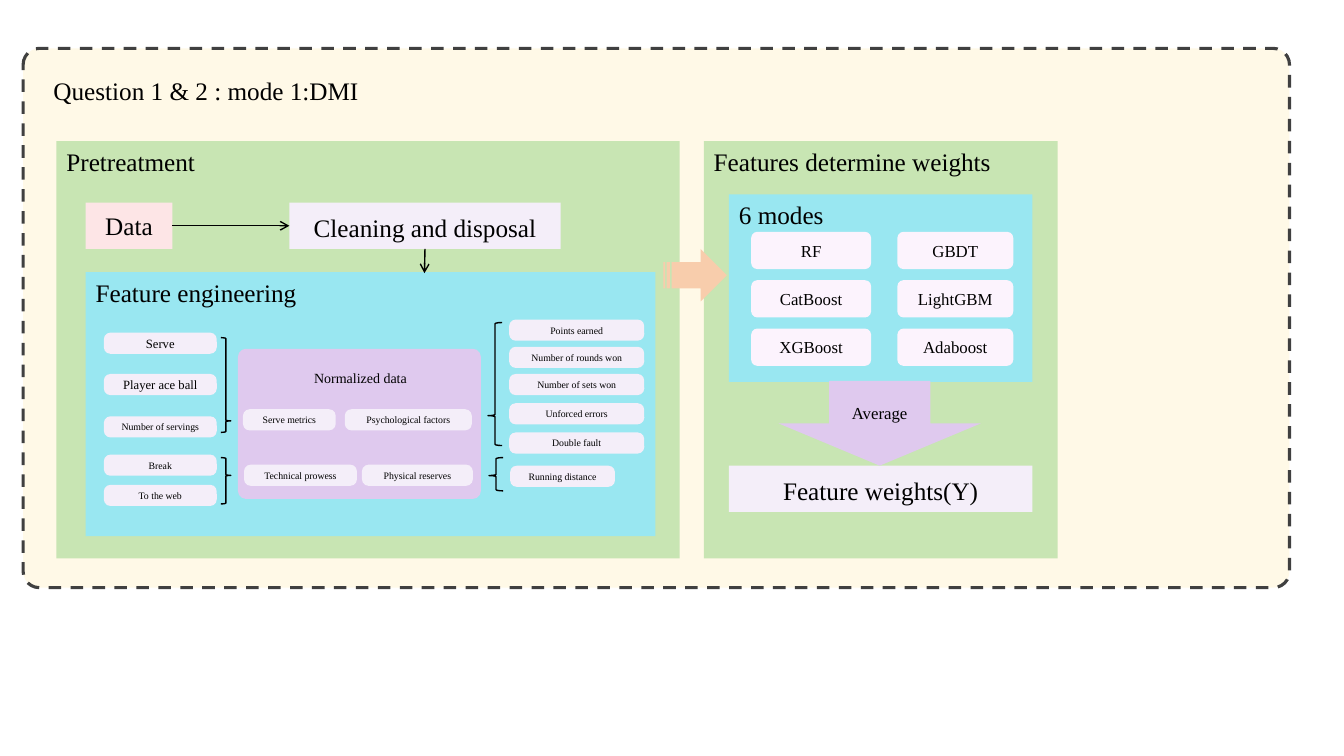
import pptx
import pptx.dml.color
import pptx.enum.dml
import pptx.enum.shapes
import pptx.enum.text
import pptx.oxml.ns
import pptx.oxml.xmlchemy
import pptx.util
from pptx.util import Inches

SHAPE = pptx.enum.shapes.MSO_SHAPE
ALIGN = pptx.enum.text.PP_ALIGN
ANCHOR = pptx.enum.text.MSO_ANCHOR
FONT = "Times New Roman"
BLACK = "000000"
GREEN = "C8E5B3"
CYAN = "99E7F1"
PURPLE = "DFC9EE"
LAVENDER = "F4EEF9"


def color(value):
    return pptx.dml.color.RGBColor.from_string(value)


def write(shape, text, size, align=ALIGN.CENTER, anchor=ANCHOR.MIDDLE, spacing=1.0):
    frame = shape.text_frame
    frame.word_wrap = True
    frame.auto_size = pptx.enum.text.MSO_AUTO_SIZE.NONE
    frame.vertical_anchor = anchor
    frame.text = text
    paragraph = frame.paragraphs[0]
    paragraph.alignment = align
    paragraph.line_spacing = spacing
    font = paragraph.runs[0].font
    font.name = FONT
    font.size = pptx.util.Pt(size)
    font.color.rgb = color(BLACK)


def add_block(shapes, kind, place, fill, adjustment=None):
    shape = shapes.add_shape(kind, *[Inches(length) for length in place])
    shape.shadow.inherit = False
    shape.fill.solid()
    shape.fill.fore_color.rgb = color(fill)
    shape.line.fill.background()
    if adjustment is not None:
        shape.adjustments[0] = adjustment
    return shape


def add_panel(shapes, place, fill, heading):
    panel = add_block(shapes, SHAPE.RECTANGLE, place, fill)
    write(panel, heading, 18, ALIGN.LEFT, ANCHOR.TOP)


def add_step(shapes, place, fill, text, spacing=1.0):
    step = add_block(shapes, SHAPE.RECTANGLE, place, fill)
    write(step, text, 18, spacing=spacing)
    return step


def add_pill(shapes, left, top, width, text, size=7):
    pill = add_block(shapes, SHAPE.ROUNDED_RECTANGLE, (left, top, width, 0.21), LAVENDER, 0.31)
    write(pill, text, size)


def add_brace(shapes, kind, place, point):
    brace = shapes.add_shape(kind, *[Inches(length) for length in place])
    brace.shadow.inherit = False
    brace.fill.background()
    brace.line.color.rgb = color(BLACK)
    brace.line.width = pptx.util.Pt(1)
    brace.adjustments[0] = 0.083
    brace.adjustments[1] = point


def add_arrow(shapes, start, end):
    arrow = shapes.add_connector(
        pptx.enum.shapes.MSO_CONNECTOR.STRAIGHT,
        *[Inches(length) for length in (*start, *end)],
    )
    arrow.line.color.rgb = color(BLACK)
    arrow.line.width = pptx.util.Pt(1)
    tail = pptx.oxml.xmlchemy.OxmlElement("a:tailEnd")
    tail.set("type", "arrow")
    properties = arrow._element.spPr
    properties.find(pptx.oxml.ns.qn("a:ln")).append(tail)
    properties.append(pptx.oxml.xmlchemy.OxmlElement("a:effectLst"))
    return arrow


def add_frame_and_title(slide):
    frame = add_block(
        slide.shapes, SHAPE.ROUNDED_RECTANGLE, (0.23, 0.48, 12.56, 5.35), "FFF9E7", 0.03
    )
    frame.line.color.rgb = color("404040")
    frame.line.width = pptx.util.Pt(2.25)
    frame.line.dash_style = pptx.enum.dml.MSO_LINE.DASH
    title = slide.shapes.title
    title.left, title.top = Inches(0.43), Inches(0.7)
    title.width, title.height = Inches(3.23), Inches(0.4)
    write(title, "Question 1 & 2 : mode 1:DMI", 18, ALIGN.LEFT, ANCHOR.TOP)
    frame._element.addnext(title._element)


def add_pretreatment(shapes):
    add_panel(shapes, (0.56, 1.4, 6.18, 4.14), GREEN, "Pretreatment")
    cleaning = add_step(shapes, (2.87, 2.01, 2.69, 0.46), LAVENDER, "Cleaning and disposal", 1.1)
    data = add_step(shapes, (0.85, 2.01, 0.86, 0.46), "FDE5E6", "Data")
    data_arrow = add_arrow(shapes, (1.71, 2.24), (2.87, 2.24))
    data_arrow.begin_connect(data, 3)
    data_arrow.end_connect(cleaning, 1)
    add_panel(shapes, (0.85, 2.7, 5.65, 2.62), CYAN, "Feature engineering")
    add_features(shapes.add_group_shape().shapes)
    cleaning_arrow = add_arrow(shapes, (4.21, 2.47), (4.21, 2.71))
    cleaning_arrow.begin_connect(cleaning, 2)


def add_features(shapes):
    add_block(shapes, SHAPE.ROUNDED_RECTANGLE, (2.36, 3.46, 2.41, 1.49), PURPLE, 0.054)
    label = shapes.add_textbox(Inches(2.88), Inches(3.62), Inches(1.39), Inches(0.27))
    write(label, "Normalized data", 10, anchor=ANCHOR.TOP)

    for top, text, size in [
        (3.3, "Serve", 9),
        (3.71, "Player ace ball", 9),
        (4.13, "Number of servings", 7),
        (4.51, "Break", 7),
        (4.81, "To the web", 7),
    ]:
        add_pill(shapes, 1.03, top, 1.12, text, size)

    for left, top, width, text in [
        (2.41, 4.06, 0.92, "Serve metrics"),
        (3.42, 4.06, 1.26, "Psychological factors"),
        (2.42, 4.61, 1.12, "Technical prowess"),
        (3.59, 4.61, 1.1, "Physical reserves"),
        (5.06, 4.62, 1.04, "Running distance"),
    ]:
        add_pill(shapes, left, top, width, text)

    for top, text in [
        (3.17, "Points earned"),
        (3.44, "Number of rounds won"),
        (3.71, "Number of sets won"),
        (4, "Unforced errors"),
        (4.29, "Double fault"),
    ]:
        add_pill(shapes, 5.05, top, 1.34, text)

    add_brace(shapes, SHAPE.RIGHT_BRACE, (2.19, 3.35, 0.1, 0.94), 0.879)
    add_brace(shapes, SHAPE.RIGHT_BRACE, (2.19, 4.54, 0.1, 0.46), 0.383)
    add_brace(shapes, SHAPE.LEFT_BRACE, (4.84, 3.2, 0.14, 1.22), 0.757)
    add_brace(shapes, SHAPE.LEFT_BRACE, (4.85, 4.54, 0.14, 0.33), 0.54)


def add_weights(shapes):
    add_panel(shapes, (6.98, 1.4, 3.51, 4.14), GREEN, "Features determine weights")
    modes = shapes.add_group_shape().shapes
    add_panel(modes, (7.23, 1.93, 3.01, 1.86), CYAN, "6 modes")
    for left, width, names in [
        (7.45, 1.19, ["RF", "CatBoost", "XGBoost"]),
        (8.9, 1.15, ["GBDT", "LightGBM", "Adaboost"]),
    ]:
        for row, name in enumerate(names):
            place = (left, 2.3 + 0.48 * row, width, 0.37)
            write(add_block(modes, SHAPE.ROUNDED_RECTANGLE, place, "FCF3FD"), name, 12)
    add_step(shapes, (7.23, 4.62, 3.01, 0.46), LAVENDER, "Feature weights(Y)", 1.1)
    average = add_block(shapes, SHAPE.DOWN_ARROW, (7.72, 3.78, 2.01, 0.84), PURPLE)
    write(average, "Average", 12)


def main():
    presentation = pptx.Presentation()
    presentation.slide_width = Inches(13.33)
    presentation.slide_height = Inches(7.5)
    slide = presentation.slides.add_slide(presentation.slide_layouts[5])
    add_frame_and_title(slide)
    add_pretreatment(slide.shapes)
    add_weights(slide.shapes)
    add_block(slide.shapes, SHAPE.STRIPED_RIGHT_ARROW, (6.58, 2.47, 0.63, 0.52), "F8CDAC")
    presentation.save("out.pptx")


if __name__ == "__main__":
    main()
